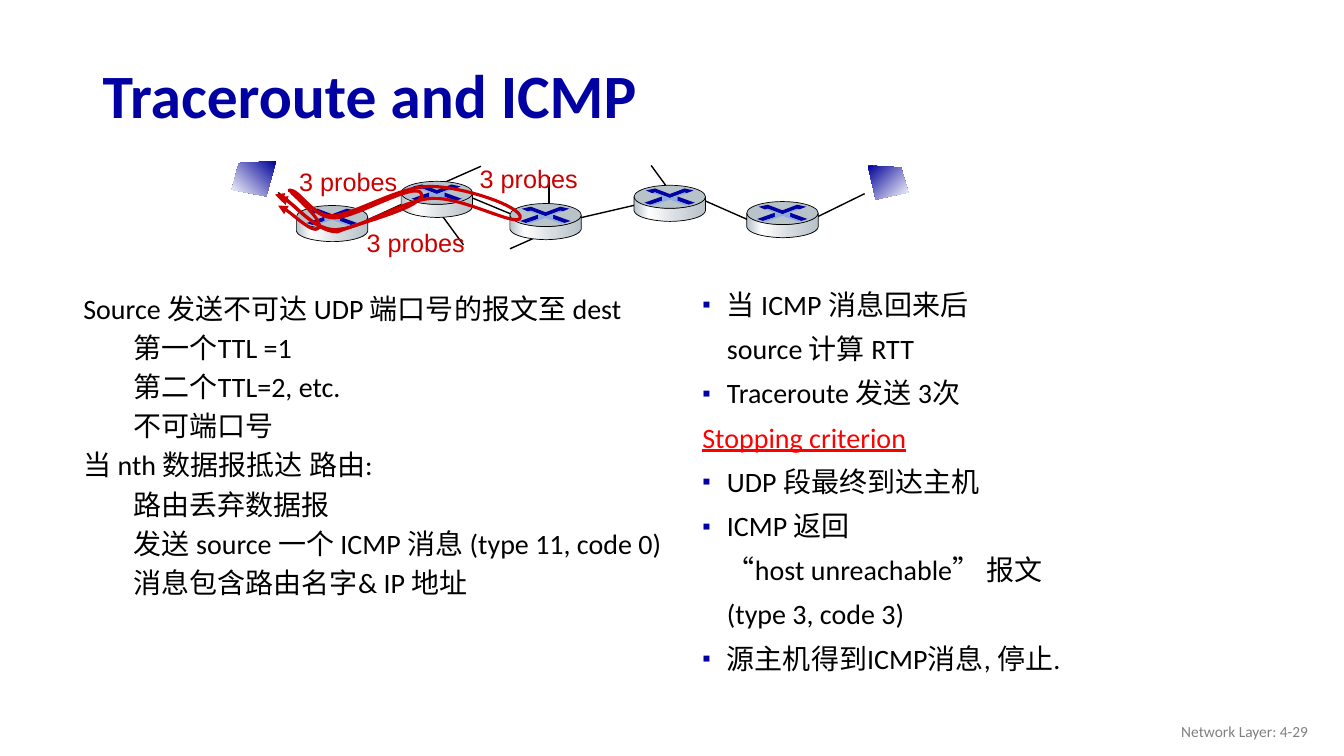
from lxml.etree import SubElement
from pptx import Presentation
from pptx.dml.color import RGBColor
from pptx.enum.shapes import MSO_CONNECTOR, MSO_SHAPE
from pptx.enum.text import MSO_ANCHOR, PP_ALIGN
from pptx.oxml.ns import qn
from pptx.util import Cm, Pt

BLACK = RGBColor(0x00, 0x00, 0x00)
NAVY = RGBColor(0x00, 0x00, 0xA3)
DEEP = RGBColor(0x00, 0x00, 0x99)
WHITE = RGBColor(0xFF, 0xFF, 0xFF)
STEEL = RGBColor(0xB8, 0xC2, 0xC9)
PALE = RGBColor(0xD6, 0xDC, 0xE0)
SKY = RGBColor(0x8F, 0xAA, 0xDC)
CRIMSON = RGBColor(0xCC, 0x00, 0x00)
RED = RGBColor(0xFF, 0x00, 0x00)
GRAY = RGBColor(0x80, 0x80, 0x80)

METAL = [(0, STEEL), (21, WHITE), (60, PALE), (100, STEEL)]
SCREEN = [(0, DEEP), (100, WHITE)]

RIM = [(1.8, 0.3), (1.8, 0.64),
       [(1.75, 0.84), (1.22, 0.91), (0.91, 0.91)],
       [(0.61, 0.91), (0.05, 0.84), (0, 0.64)], (0, 0.3),
       [(0.08, 0.48), (0.58, 0.58), (0.9, 0.58)],
       [(1.2, 0.58), (1.73, 0.5), (1.8, 0.3)]]
MARKS = [
    (NAVY, [(1.27, 0.08), (1.5, 0.13), (1.32, 0.2), (1.27, 0.18), (0.9, 0.32),
            (0.53, 0.18), (0.46, 0.2), (0.3, 0.13), (0.53, 0.08), (0.9, 0.22)]),
    (NAVY, [(1.09, 0.28), (1.53, 0.44), (1.37, 0.49), (1.09, 0.39)]),
    (NAVY, [(0.71, 0.28), (0.71, 0.39), (0.41, 0.49), (0.26, 0.44)]),
    (SKY, [(0.46, 0.2), (0.53, 0.18), (0.9, 0.32), (1.27, 0.18), (1.34, 0.2),
           (1.09, 0.28), (1.09, 0.39), (1.37, 0.49), (1.3, 0.51), (0.9, 0.36),
           (0.48, 0.51), (0.41, 0.49), (0.71, 0.39), (0.71, 0.28)]),
]
ROUTERS = [(1.63, 1.18), (4.27, 0.57), (7.01, 1.13), (10.14, 0.67), (12.98, 1.08)]
LINKS = [
    (1.17, 0.85, 1.98, 1.59), (3.38, 1.56, 4.65, 0.98), (5.97, 0.95, 7.32, 1.51),
    (6.28, 0.19, 5.31, 0.62), (5.21, 1.31, 5.84, 2.17), (10.42, 1.11, 8.69, 1.51),
    (11.79, 1, 13.13, 1.59), (15.95, 0.88, 14.4, 1.64), (10.57, 0.17, 11.2, 1.03),
    (7.98, 1.84, 7.01, 2.27), (8, 0.47, 8, 1.18),
]
HOSTS = [
    (135, [(1.12, 0.06), (0.18, 0.11), (0, 0.78), (0.87, 0.95)]),
    (45, [(16.03, 0.17), (16.87, 0.22), (17.05, 0.85), (16.23, 1.03)]),
]
PROBES = [
    [(1.45, 0.78), [(1.55, 0.93), (2.34, 1.56), (2.19, 1.74)],
     [(2.03, 1.94), (1.45, 1.26), (1.17, 1.18)]],
    [(1.5, 0.88), [(1.75, 0.8), (2.03, 1.49), (2.59, 1.49)],
     [(3.13, 1.49), (4.65, 0.55), (4.78, 0.88)],
     [(4.9, 1.21), (3.23, 1.61), (2.67, 1.84)],
     [(2.06, 1.87), (1.42, 0.88), (1.17, 0.98)]],
    [(1.42, 0.8), [(1.7, 0.72), (1.98, 1.44), (2.52, 1.44)],
     [(3.13, 1.41), (4.24, 0.67), (5.03, 0.7)],
     [(5.82, 0.7), (7.34, 1.21), (7.27, 1.49)],
     [(7.19, 1.74), (5.82, 0.95), (5.03, 1)],
     [(4.27, 1.05), (3.25, 1.79), (2.59, 1.79)],
     [(1.93, 1.77), (1.37, 0.83), (1.09, 0.9)]],
]
LABELS = [(1.45, 0.06), (3.15, 1.61), (6, 0)]

STEPS = [
    ("Source 发送不可达 UDP 端口号的报文至 dest", 0),
    ("第一个TTL =1", 1.27),
    ("第二个TTL=2, etc.", 1.27),
    ("不可端口号", 1.27),
    ("当 nth 数据报抵达 路由:", 0),
    ("路由丢弃数据报", 1.27),
    ("发送 source 一个 ICMP 消息 (type 11, code 0)", 1.27),
    ("消息包含路由名字& IP 地址", 1.27),
]
NOTES = [
    ("当 ICMP 消息回来后", None),
    ("source 计算 RTT", 1),
    ("Traceroute 发送 3次", None),
    ("Stopping criterion", 0.38),
    ("UDP 段最终到达主机", None),
    ("ICMP 返回", None),
    ("“host unreachable” 报文", 1),
    ("(type 3, code 3)", 1),
    ("源主机得到ICMP消息, 停止.", None),
]


def trace(points):
    path = [points[0]]
    for part in points[1:]:
        if isinstance(part, tuple):
            path.append(part)
            continue
        curve = [path[-1]] + part
        for n in range(1, 17):
            t = n / 16
            mix = ((1 - t) ** 3, 3 * t * (1 - t) ** 2, 3 * t * t * (1 - t), t ** 3)
            path.append(tuple(sum(m * p[i] for m, p in zip(mix, curve))
                              for i in (0, 1)))
    return path


def outline(slide, left, top, points, close=True):
    path = [(Cm(left + x), Cm(top + y)) for x, y in trace(points)]
    build = slide.shapes.build_freeform(*path[0])
    build.add_line_segments(path[1:], close=close)
    shape = build.convert_to_shape()
    shape.shadow.inherit = False
    return shape


def solid(shape, color):
    shape.fill.solid()
    shape.fill.fore_color.rgb = color


def stroke(shape, color, width):
    shape.line.color.rgb = color
    shape.line.width = Pt(width)


def blend(shape, stops, angle):
    shape.fill.gradient()
    grad = shape._element.spPr.find(qn("a:gradFill"))
    for child in list(grad):
        grad.remove(child)
    group = SubElement(grad, qn("a:gsLst"))
    for place, color in stops:
        stop = SubElement(group, qn("a:gs"), pos=str(place * 1000))
        SubElement(stop, qn("a:srgbClr"), val=str(color))
    SubElement(grad, qn("a:lin"), ang=str(angle * 60000), scaled="0")


def router(slide, left, top):
    body = outline(slide, left, top, RIM)
    blend(body, METAL, 0)
    disc = slide.shapes.add_shape(MSO_SHAPE.OVAL, Cm(left), Cm(top), Cm(1.8), Cm(0.58))
    disc.shadow.inherit = False
    solid(disc, STEEL)
    for shape in (body, disc):
        stroke(shape, BLACK, 0.5)
    for color, points in MARKS:
        mark = outline(slide, left, top, points)
        solid(mark, color)
        mark.line.fill.background()


def textbox(slide, left, top, width, height):
    box = slide.shapes.add_textbox(Cm(left), Cm(top), Cm(width), Cm(height))
    box.text_frame.word_wrap = True
    return box.text_frame


def style(para, size, color, name="Calibri"):
    para.font.size = Pt(size)
    para.font.name = name
    para.font.color.rgb = color


def network(slide, left, top):
    for x1, y1, x2, y2 in LINKS:
        link = slide.shapes.add_connector(
            MSO_CONNECTOR.STRAIGHT, Cm(left + x1), Cm(top + y1),
            Cm(left + x2), Cm(top + y2))
        stroke(link, BLACK, 1)
        SubElement(link._element.spPr, qn("a:effectLst"))
    for x, y in ROUTERS:
        router(slide, left + x, top + y)
    for angle, points in HOSTS:
        host = outline(slide, left, top, points)
        blend(host, SCREEN, angle)
        host.line.fill.background()
    for x, y in LABELS:
        para = textbox(slide, left + x, top + y, 3.4, 1.02).paragraphs[0]
        para.text = "3 probes"
        style(para, 18, CRIMSON, "Arial")
    for points in PROBES:
        probe = outline(slide, left, top, points, False)
        probe.fill.background()
        stroke(probe, CRIMSON, 2.25)
        SubElement(probe.line._get_or_add_ln(), qn("a:tailEnd"), type="triangle")


def column(slide, left, top, width, height, items, gap, pitch):
    frame = textbox(slide, left, top, width, height)
    for i, (text, indent) in enumerate(items):
        para = frame.paragraphs[0] if i == 0 else frame.add_paragraph()
        para.text = text
        para.line_spacing = pitch
        if i:
            para.space_before = Pt(gap)
        props = para._p.get_or_add_pPr()
        props.set("marL", str(Cm(1 if indent is None else indent)))
        if indent is None:
            props.set("indent", str(Cm(-0.62)))
            tint = SubElement(props, qn("a:buClr"))
            SubElement(tint, qn("a:srgbClr"), val=str(NAVY))
            SubElement(props, qn("a:buSzPct"), val="85000")
            SubElement(props, qn("a:buFont"), typeface="Arial")
            SubElement(props, qn("a:buChar"), char="▪")
        heading = text == "Stopping criterion"
        style(para, 20, RED if heading else BLACK)
        if heading:
            para.font.underline = True


def caption(slide, left, top, width, height, text, size, color):
    frame = textbox(slide, left, top, width, height)
    frame.vertical_anchor = MSO_ANCHOR.MIDDLE
    para = frame.paragraphs[0]
    para.text = text
    style(para, size, color)
    return para


def main():
    deck = Presentation()
    deck.slide_width, deck.slide_height = Cm(33.87), Cm(19.05)
    slide = deck.slides.add_slide(deck.slide_layouts[6])
    title = caption(slide, 2.34, 1.24, 29.21, 2.49, "Traceroute and ICMP", 44, NAVY)
    title.font.bold = True
    title.line_spacing = 0.9
    network(slide, 5.84, 4)
    column(slide, 17.07, 7.21, 16.5, 10.39, NOTES, 10, 0.9)
    column(slide, 1.85, 7.21, 15.49, 11.84, STEPS, 4, 1.0)
    foot = caption(slide, 25.6, 17.91, 7.62, 1.02, "Network Layer: 4-29", 11, GRAY)
    foot.alignment = PP_ALIGN.RIGHT
    deck.save("out.pptx")


if __name__ == "__main__":
    main()
